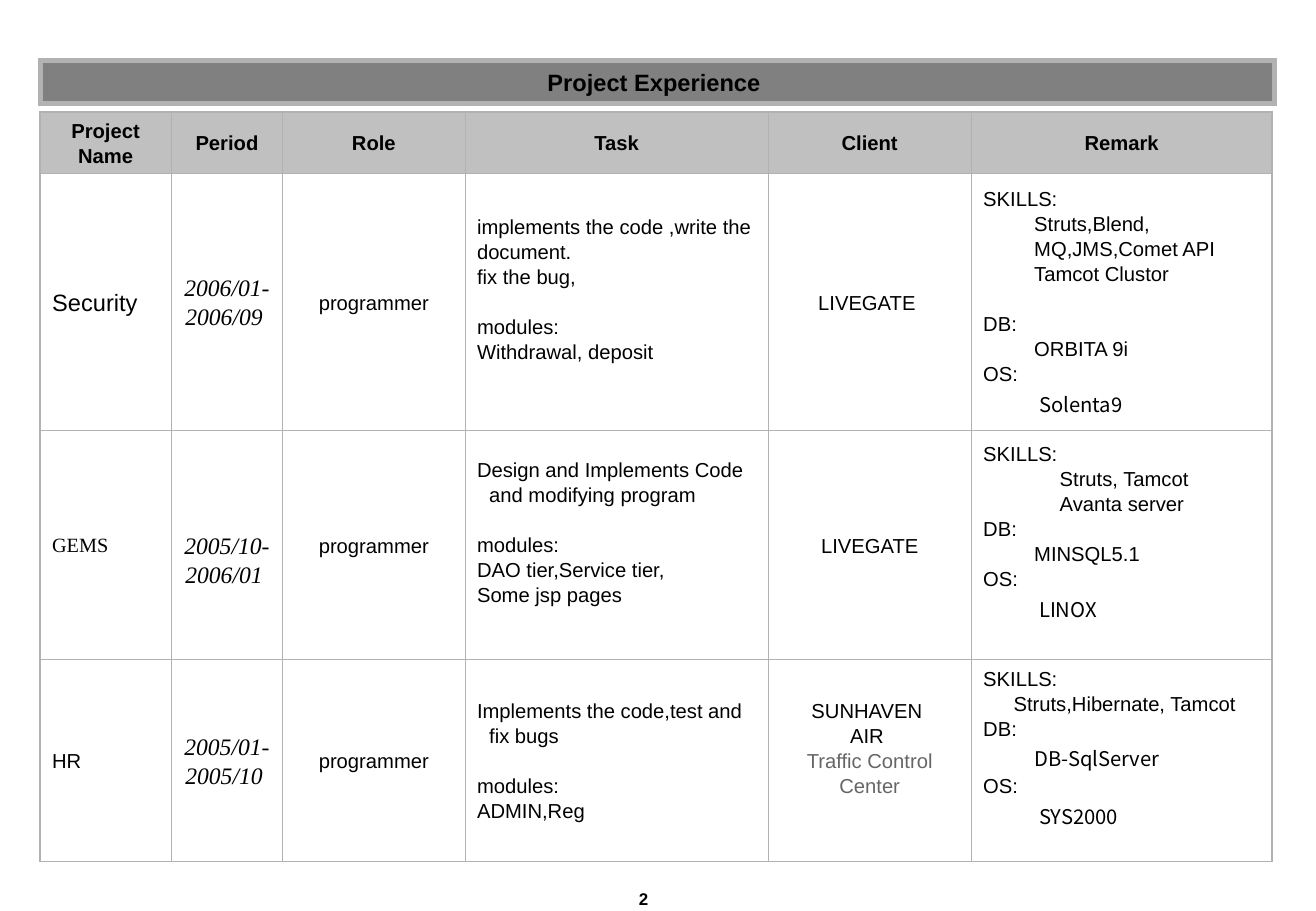
from dataclasses import dataclass

from lxml.etree import SubElement
from pptx import Presentation
from pptx.dml.color import RGBColor
from pptx.enum.text import MSO_ANCHOR, MSO_AUTO_SIZE, PP_ALIGN
from pptx.oxml.ns import qn
from pptx.util import Emu, Pt

PX = 9144  # 100 px to the inch


def px(count):
    return Emu(count * PX)


@dataclass(frozen=True)
class Theme:
    text: str = "000000"
    muted: str = "666666"
    border: str = "B2B2B2"
    banner: str = "808080"
    header: str = "C0C0C0"
    cell: str = "FFFFFF"
    sans: str = "Arial"
    serif: str = "Times New Roman"
    system: str = "Noto Sans CJK SC"
    large: int = 14
    body: int = 12
    small: int = 10
    blank_line: int = 15
    inner_line: float = 0.45
    outer_line: float = 1.08


@dataclass(frozen=True)
class Line:
    text: str
    indent: int = 0
    hanging: int = 0
    gap: bool = False
    size: int = Theme.body
    font: str = Theme.sans
    color: str = Theme.text
    bold: bool = False
    italic: bool = False


def write_lines(frame, lines, align):
    """Put one formatted paragraph per Line into the text frame."""
    frame.text = "\n".join(line.text for line in lines)
    for paragraph, line in zip(frame.paragraphs, lines):
        paragraph.alignment = align
        properties = paragraph._p.get_or_add_pPr()
        properties.set("marL", str(px(line.indent + line.hanging)))
        properties.set("indent", str(px(-line.hanging)))
        paragraph.space_before = Pt(Theme.blank_line if line.gap else 0)
        for run in paragraph.runs:
            run.font.size = Pt(line.size)
            run.font.name = line.font
            run.font.bold = line.bold
            run.font.italic = line.italic
            run.font.color.rgb = RGBColor.from_string(line.color)


theme = Theme()
LEFT, CENTER = PP_ALIGN.LEFT, PP_ALIGN.CENTER
period_style = dict(size=theme.large, font=theme.serif, italic=True)

headings = ["Project Name", "Period", "Role", "Task", "Client", "Remark"]
projects = [
    [
        [Line("Security", size=theme.large)],
        [Line("2006/01-2006/09 ", **period_style)],
        [Line("programmer")],
        [Line("implements the code ,write the document."), Line("fix the bug,"),
         Line("modules:", gap=True), Line("Withdrawal, deposit")],
        [Line("LIVEGATE ")],
        [Line("SKILLS:"), Line("Struts,Blend,", 42), Line("MQ,JMS,Comet API", 42),
         Line("Tamcot Clustor", 42), Line("DB:", gap=True), Line("ORBITA 9i", 42),
         Line("OS:"), Line("Solenta9", 46, font=theme.system)],
    ],
    [
        [Line("GEMS", font=theme.serif)],
        [Line("2005/10-2006/01 ", **period_style)],
        [Line("programmer")],
        [Line("Design and Implements Code and modifying program", hanging=10),
         Line("modules:", gap=True), Line("DAO tier,Service tier,"),
         Line("Some jsp pages")],
        [Line("LIVEGATE")],
        [Line("SKILLS:"), Line("Struts, Tamcot", 63), Line("Avanta server", 63),
         Line("DB:"), Line("MINSQL5.1", 42), Line("OS:"),
         Line("LINOX", 46, font=theme.system)],
    ],
    [
        [Line("HR")],
        [Line("2005/01-2005/10 ", **period_style)],
        [Line("programmer")],
        [Line("Implements the code,test and fix bugs", hanging=10),
         Line("modules:", gap=True), Line("ADMIN,Reg")],
        [Line("SUNHAVEN "), Line("AIR "),
         Line("Traffic Control Center", color=theme.muted)],
        [Line("SKILLS:"), Line("Struts,Hibernate, Tamcot", 25), Line("DB:"),
         Line("DB-SqlServer", 42, font=theme.system), Line("OS:"),
         Line("SYS2000", 46, font=theme.system)],
    ],
]
grid = [[[Line(heading, bold=True)] for heading in headings]] + projects
alignments = [LEFT, CENTER, CENTER, LEFT, CENTER, LEFT]
column_widths = [108, 92, 150, 250, 167, 248]
row_heights = [32, 211, 189, 164]  # the header row grows to fit two lines
# Extra padding, by (row, column), moves centred text off the middle
padding_above = {(2, 1): 24}
padding_below = {(1, 3): 21, (2, 3): 21, (2, 5): 21, (3, 4): 21, (3, 5): 21}

presentation = Presentation()
presentation.slide_width, presentation.slide_height = px(1084), px(750)
slide = presentation.slides.add_slide(presentation.slide_layouts[5])

banner = slide.shapes.title
banner.left, banner.top, banner.width, banner.height = map(px, (33, 50, 1017, 35))
banner.fill.solid()
banner.fill.fore_color.rgb = RGBColor.from_string(theme.banner)
banner.line.color.rgb = RGBColor.from_string(theme.border)
banner.line.width = Pt(3)
SubElement(banner.line._get_or_add_ln(), qn("a:miter"), lim="800000")
banner.text_frame.auto_size = MSO_AUTO_SIZE.NONE
banner.text_frame.vertical_anchor = MSO_ANCHOR.MIDDLE
write_lines(banner.text_frame,
            [Line("Project Experience ", size=theme.large, bold=True)], CENTER)

experience = slide.shapes.add_table(
    len(grid), len(headings), px(33), px(92),
    px(sum(column_widths)), px(sum(row_heights))).table
experience.first_row = experience.horz_banding = False
for column, width in zip(experience.columns, column_widths):
    column.width = px(width)
for row, height in zip(experience.rows, row_heights):
    row.height = px(height)

last_row, last_column = len(grid) - 1, len(headings) - 1
for r, row_lines in enumerate(grid):
    for c, lines in enumerate(row_lines):
        cell = experience.cell(r, c)
        cell.vertical_anchor = MSO_ANCHOR.MIDDLE
        cell.margin_left = cell.margin_right = px(10)
        cell.margin_top = px(5 + padding_above.get((r, c), 0))
        cell.margin_bottom = px(5 + padding_below.get((r, c), 0))
        write_lines(cell.text_frame, lines, alignments[c] if r else CENTER)
        for paragraph in cell.text_frame.paragraphs:
            paragraph.line_spacing = 1.1

        cell_properties = cell._tc.get_or_add_tcPr()
        outer_sides = {"a:lnL": c == 0, "a:lnR": c == last_column,
                       "a:lnT": r == 0, "a:lnB": r == last_row}
        for side, is_outer in outer_sides.items():
            weight = Pt(theme.outer_line if is_outer else theme.inner_line)
            edge = SubElement(cell_properties, qn(side), w=str(weight))
            edge_fill = SubElement(edge, qn("a:solidFill"))
            SubElement(edge_fill, qn("a:srgbClr"), val=theme.border)
        cell.fill.solid()
        cell.fill.fore_color.rgb = RGBColor.from_string(
            theme.cell if r else theme.header)

page_number = slide.shapes.add_textbox(px(465), px(731), px(71), px(19)).text_frame
page_number.word_wrap = True
page_number.margin_left = page_number.margin_right = px(2)
page_number.margin_top = page_number.margin_bottom = px(1)
write_lines(page_number, [Line("2", size=theme.small, bold=True)], PP_ALIGN.RIGHT)

presentation.save("out.pptx")
